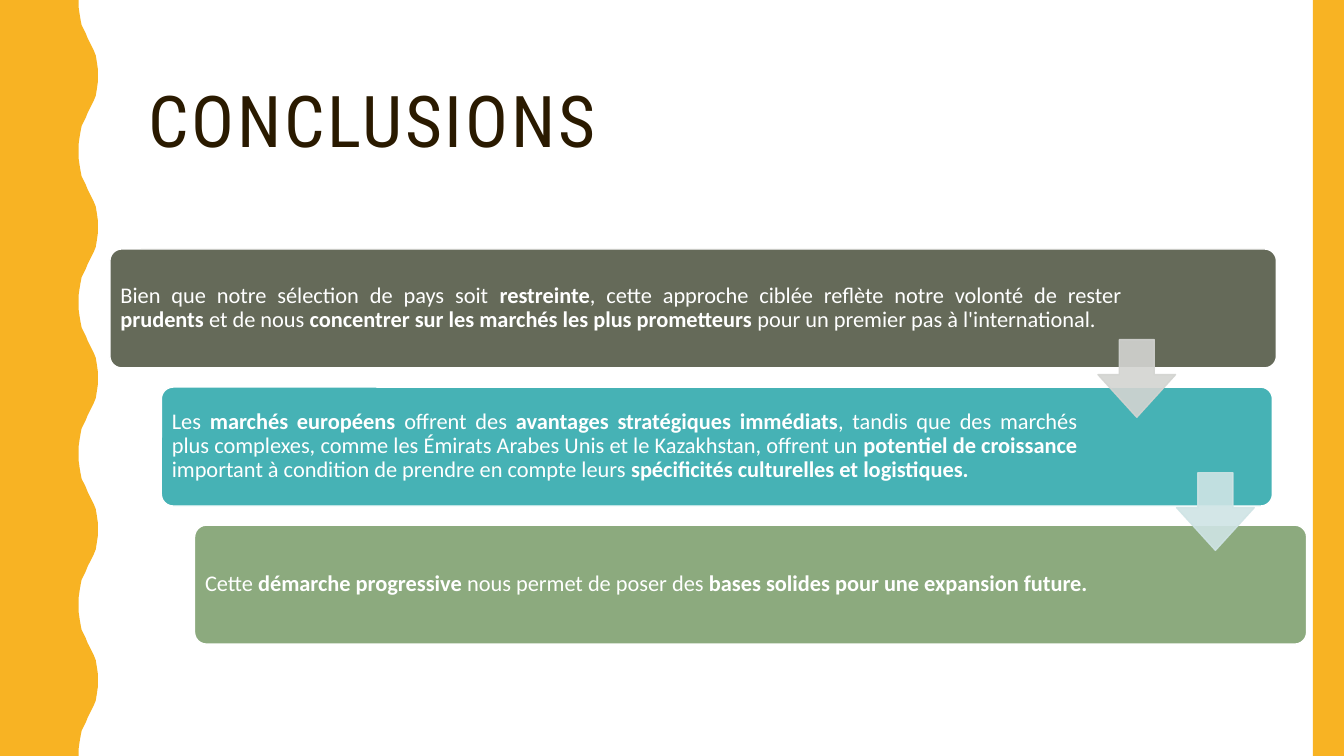
from lxml.etree import SubElement
from pptx import Presentation
from pptx.dml.color import RGBColor
from pptx.enum.shapes import MSO_SHAPE
from pptx.enum.text import MSO_ANCHOR, MSO_AUTO_SIZE, PP_ALIGN
from pptx.oxml.ns import qn
from pptx.util import Inches, Pt

WIDTH, HEIGHT = 13.33, 7.5
AMBER, BROWN, WHITE = "F8B323", "2A1A00", "FFFFFF"

# Right edge of half a wave, as (x, y); the other half mirrors it
WAVE_COUNT = 5
WAVE_HEIGHT = HEIGHT / WAVE_COUNT
HALF_WAVE = [(0.78, 0), (0.78, 0.07), (0.79, 0.14), (0.8, 0.2), (0.81, 0.25),
             (0.83, 0.29), (0.85, 0.33), (0.87, 0.38), (0.89, 0.42), (0.91, 0.46),
             (0.93, 0.5), (0.95, 0.55), (0.96, 0.61), (0.97, 0.68), (0.97, 0.75)]

CARD_TOP, CARD_HEIGHT, CARD_STEP = 2.47, 1.18, 1.37
ARROW_SIZE = 0.77

# Left, width, right inset, fill, and text as (words, bold) runs
CARDS = [
    (1.09, 11.57, 1.5, "656A59", [
        ("Bien que notre sélection de pays soit ", False),
        ("restreinte", True),
        (", cette approche ciblée reflète notre volonté de rester ", False),
        ("prudents", True),
        (" et de nous ", False),
        ("concentrer sur les marchés les plus prometteurs ", True),
        ("pour un premier pas à l'international.", False)]),
    (1.6, 11.02, 1.9, "46B2B5", [
        ("Les ", False),
        ("marchés européens ", True),
        ("offrent des ", False),
        ("avantages stratégiques immédiats", True),
        (", tandis que des marchés plus complexes, comme les Émirats Arabes Unis "
         "et le Kazakhstan, offrent un ", False),
        ("potentiel de croissance ", True),
        ("important à condition de prendre en compte leurs ", False),
        ("spécificités culturelles et logistiques.", True)]),
    (1.93, 11.03, 1.9, "8CAA7E", [
        ("Cette ", False),
        ("démarche progressive ", True),
        ("nous permet de poser des ", False),
        ("bases solides pour une expansion future.", True)]),
]
ARROWS = [(10.89, 3.37, "D3D4D1"), (11.67, 4.69, "CFE4E5")]


def color(hex_string):
    return RGBColor.from_string(hex_string)


def paint(shape, fill, line=None, alpha=None):
    shape.shadow.inherit = False
    shape.fill.solid()
    shape.fill.fore_color.rgb = color(fill)
    if line:
        shape.line.color.rgb = color(line)
        shape.line.width = Pt(1)
    else:
        shape.line.fill.background()
    if alpha:
        for color_element in shape._element.spPr.iter(qn("a:srgbClr")):
            SubElement(color_element, qn("a:alpha")).set("val", str(alpha * 1000))


def add_preset(slide, preset, box, adjustments=(), **paint_format):
    shape = slide.shapes.add_shape(preset, *map(Inches, box))
    for index, value in enumerate(adjustments):
        shape.adjustments[index] = value
    paint(shape, **paint_format)
    return shape


def add_text(paragraph, text, font="Calibri", size=16, fill=WHITE, bold=False, spacing=None):
    run = paragraph.add_run()
    run.text = text
    run.font.name = font
    run.font.size = Pt(size)
    run.font.bold = bold
    run.font.color.rgb = color(fill)
    if spacing:
        run._r.get_or_add_rPr().set("spc", str(spacing * 100))


def format_frame(frame, align):
    frame.word_wrap = True
    frame.auto_size = MSO_AUTO_SIZE.NONE
    frame.vertical_anchor = MSO_ANCHOR.MIDDLE
    paragraph = frame.paragraphs[0]
    paragraph.alignment = align
    paragraph.line_spacing = 0.9
    return paragraph


def add_title(slide, box):
    title = slide.shapes.title
    title.left, title.top, title.width, title.height = map(Inches, box)
    paragraph = format_frame(title.text_frame, PP_ALIGN.LEFT)
    add_text(paragraph, "CONCLUSIONS", font="Roboto Condensed", size=51, fill=BROWN, spacing=2)


def add_side_bands(slide):
    # Wavy band on the left
    points = []
    for wave in range(WAVE_COUNT):
        top = wave * WAVE_HEIGHT
        points += [(x, top + y) for x, y in HALF_WAVE]
        points += [(x, top + WAVE_HEIGHT - y) for x, y in HALF_WAVE[-2::-1]]
    points.append((0, HEIGHT))
    builder = slide.shapes.build_freeform(0, 0)
    builder.add_line_segments([(Inches(x), Inches(y)) for x, y in points], close=True)
    paint(builder.convert_to_shape(), AMBER)
    # Straight band on the right
    add_preset(slide, MSO_SHAPE.RECTANGLE, (WIDTH - 0.31, 0, 0.31, HEIGHT), fill=AMBER)


def add_card(slide, box, right_inset, fill, runs):
    card = add_preset(slide, MSO_SHAPE.ROUNDED_RECTANGLE, box, [0.1], fill=fill, line=WHITE)
    frame = card.text_frame
    frame.margin_left = frame.margin_top = frame.margin_bottom = Inches(0.07)
    frame.margin_right = Inches(right_inset)
    paragraph = format_frame(frame, PP_ALIGN.JUSTIFY)
    for text, bold in runs:
        add_text(paragraph, text, bold=bold)


def add_staircase(slide):
    for row, (left, width, right_inset, fill, runs) in enumerate(CARDS):
        box = (left, CARD_TOP + row * CARD_STEP, width, CARD_HEIGHT)
        add_card(slide, box, right_inset, fill, runs)
    # Arrows lead from each card to the next
    for left, top, fill in ARROWS:
        add_preset(slide, MSO_SHAPE.DOWN_ARROW, (left, top, ARROW_SIZE, ARROW_SIZE),
                   [0.45, 0.55], fill=fill, line=fill, alpha=90)


def main():
    presentation = Presentation()
    presentation.slide_width, presentation.slide_height = Inches(WIDTH), Inches(HEIGHT)
    slide = presentation.slides.add_slide(presentation.slide_layouts[5])
    add_title(slide, (1.37, 0.42, 11.13, 1.63))
    add_side_bands(slide)
    add_staircase(slide)
    presentation.save("out.pptx")


if __name__ == "__main__":
    main()
